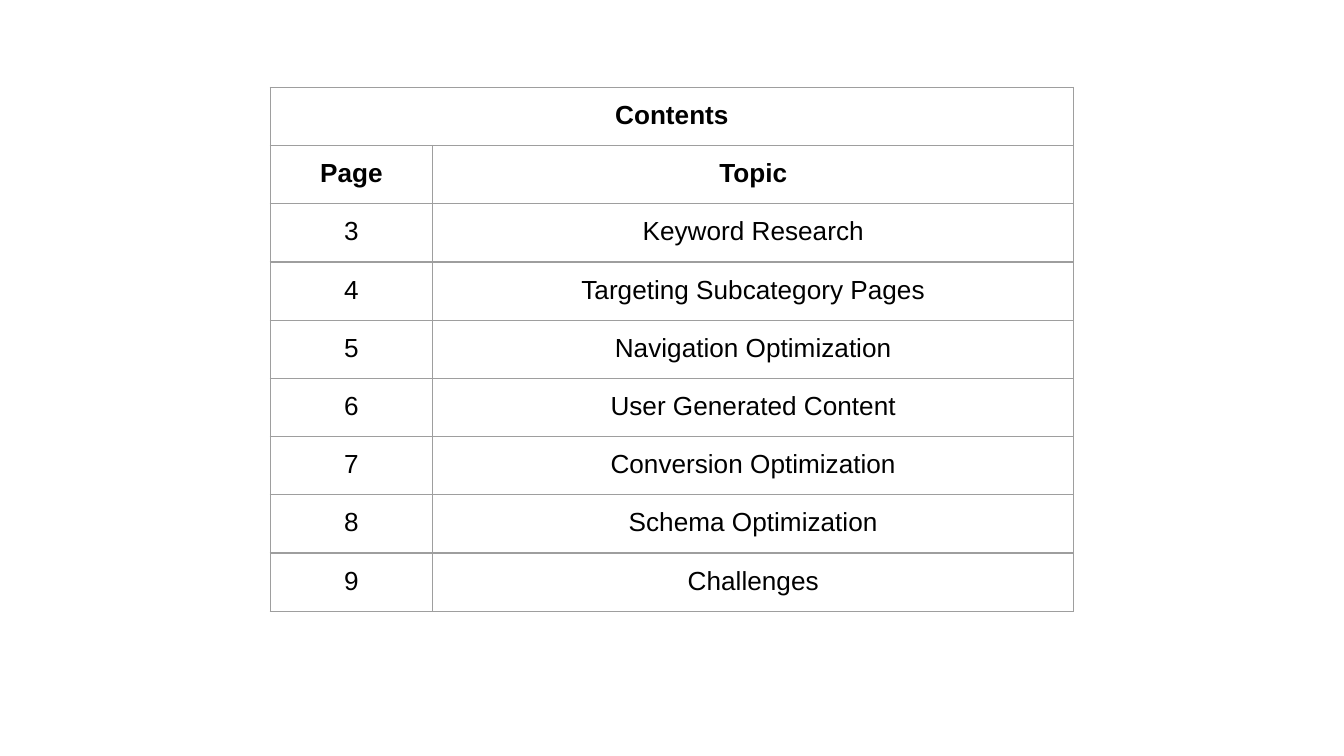
from lxml.etree import SubElement
from pptx import Presentation
from pptx.dml.color import RGBColor
from pptx.enum.text import PP_ALIGN
from pptx.oxml.ns import qn
from pptx.util import Inches, Pt

BLACK = RGBColor(0x00, 0x00, 0x00)
GRAY = RGBColor(0x9E, 0x9E, 0x9E)

TITLE = "Contents"
HEADINGS = ("Page", "Topic")
FIRST_PAGE = 3
TOPICS = [
    "Keyword Research",
    "Targeting Subcategory Pages",
    "Navigation Optimization",
    "User Generated Content",
    "Conversion Optimization",
    "Schema Optimization",
    "Challenges",
]


def add_borders(cell):
    properties = cell._tc.get_or_add_tcPr()
    for side in ("lnL", "lnR", "lnT", "lnB"):
        border = SubElement(properties, qn(f"a:{side}"), w=str(Pt(0.75)))
        fill = SubElement(border, qn("a:solidFill"))
        SubElement(fill, qn("a:srgbClr"), val=str(GRAY))


def style_cell(cell, text, bold):
    cell.margin_left = cell.margin_right = Inches(0.1)
    cell.margin_top = cell.margin_bottom = Inches(0.1)
    add_borders(cell)
    cell.fill.background()
    cell.text = text
    paragraph = cell.text_frame.paragraphs[0]
    paragraph.alignment = PP_ALIGN.CENTER
    paragraph.font.name = "Arial"
    paragraph.font.size = Pt(14)
    paragraph.font.bold = bold
    paragraph.font.color.rgb = BLACK


def add_contents(slide, left, top, width, height):
    entries = [(str(page), topic) for page, topic in enumerate(TOPICS, FIRST_PAGE)]
    rows = [(TITLE, ""), HEADINGS, *entries]
    contents = slide.shapes.add_table(
        len(rows), 2, Inches(left), Inches(top), Inches(width), Inches(height)
    ).table
    contents.first_row = False
    contents.horz_banding = False

    page_width = 1.21
    contents.columns[0].width = Inches(page_width)
    contents.columns[1].width = Inches(width - page_width)
    for row in contents.rows:
        row.height = Inches(height / len(rows))

    for row_index, texts in enumerate(rows):
        for column_index, text in enumerate(texts):
            style_cell(contents.cell(row_index, column_index), text, row_index < 2)
    contents.cell(0, 0).merge(contents.cell(0, 1))


def main():
    presentation = Presentation()
    presentation.slide_width = Inches(10)
    presentation.slide_height = presentation.slide_width * 9 // 16
    slide = presentation.slides.add_slide(presentation.slide_layouts[6])
    add_contents(slide, left=2.01, top=0.65, width=5.98, height=3.9)
    presentation.save("out.pptx")


if __name__ == "__main__":
    main()
